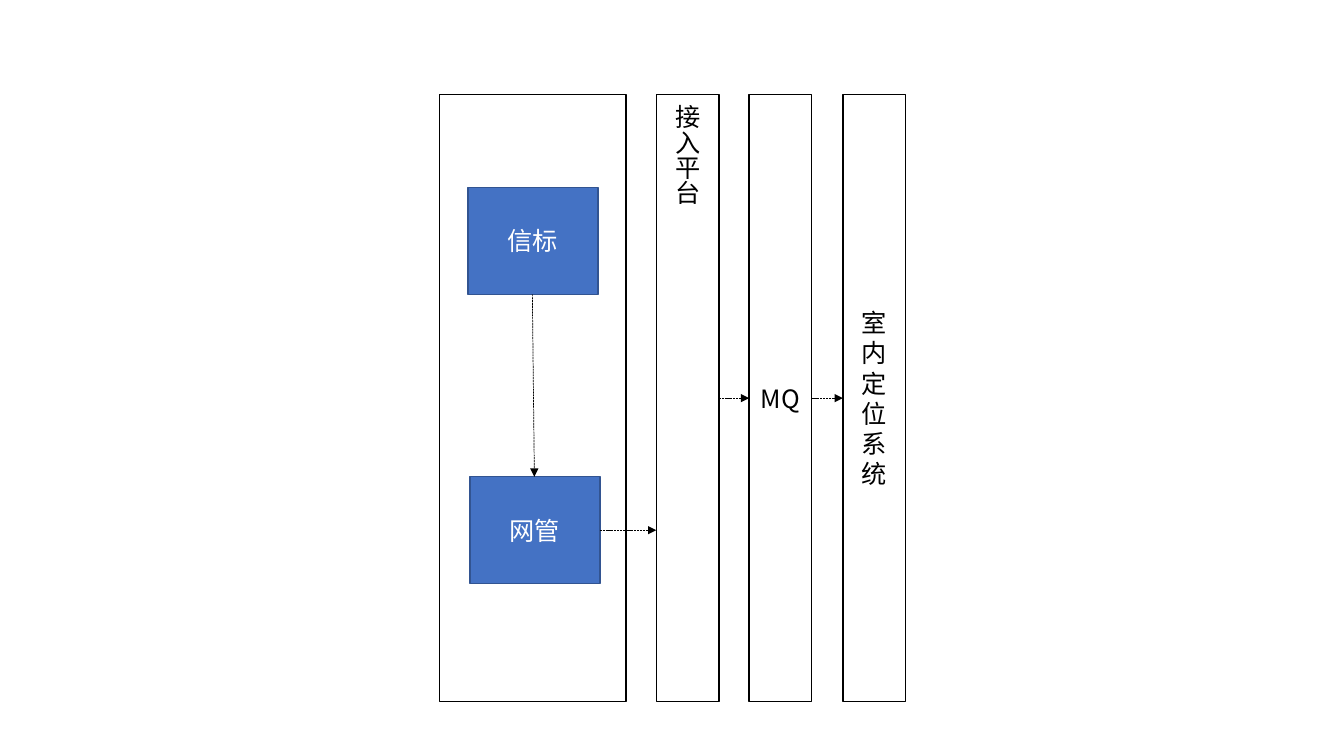
from lxml import etree
from pptx import Presentation
from pptx.dml.color import RGBColor
from pptx.enum.dml import MSO_LINE_DASH_STYLE as DASH
from pptx.enum.shapes import MSO_CONNECTOR, MSO_SHAPE
from pptx.enum.text import MSO_ANCHOR, PP_ALIGN
from pptx.oxml.ns import qn
from pptx.util import Inches, Pt

BLACK = RGBColor(0x00, 0x00, 0x00)
WHITE = RGBColor(0xFF, 0xFF, 0xFF)
BLUE = RGBColor(0x44, 0x72, 0xC4)
DARK_BLUE = RGBColor(0x32, 0x54, 0x91)
FONT = "Noto Sans CJK SC"

LANE_TOP, LANE_HEIGHT = 0.94, 6.02
LANE_WIDTH = 0.62
NODE_WIDTH, NODE_HEIGHT = 1.29, 1.06


def add_box(slide, x, y, w, h, fill, line):
    sp = slide.shapes.add_shape(
        MSO_SHAPE.RECTANGLE, Inches(x), Inches(y), Inches(w), Inches(h))
    sp.shadow.inherit = False
    sp.fill.solid()
    sp.fill.fore_color.rgb = fill
    sp.line.color.rgb = line
    sp.line.width = Pt(1)
    return sp


def add_label(sp, text, color, align=PP_ALIGN.CENTER, vert=None):
    """Write text in a shape; vert is the DrawingML text direction."""
    tf = sp.text_frame
    tf.word_wrap = True
    tf.vertical_anchor = MSO_ANCHOR.MIDDLE
    body = tf._txBody.bodyPr
    if vert:
        body.set("vert", vert)
    p = tf.paragraphs[0]
    p.alignment = align
    r = p.add_run()
    r.text = text
    r.font.size = Pt(18)
    r.font.name = FONT
    r.font.color.rgb = color
    etree.SubElement(r._r.get_or_add_rPr(), qn("a:ea"), typeface=FONT)


def add_lane(slide, x, text, vert, align=PP_ALIGN.CENTER):
    sp = add_box(slide, x, LANE_TOP, LANE_WIDTH, LANE_HEIGHT, WHITE, BLACK)
    add_label(sp, text, BLACK, align, vert)


def add_node(slide, x, y, text):
    sp = add_box(slide, x, y, NODE_WIDTH, NODE_HEIGHT, BLUE, DARK_BLUE)
    add_label(sp, text, WHITE)


def add_arrow(slide, x1, y1, x2, y2):
    cxn = slide.shapes.add_connector(
        MSO_CONNECTOR.STRAIGHT, Inches(x1), Inches(y1), Inches(x2), Inches(y2))
    cxn.line.color.rgb = BLACK
    cxn.line.width = Pt(0.5)
    cxn.line.dash_style = DASH.SQUARE_DOT
    etree.SubElement(cxn.line._get_or_add_ln(), qn("a:tailEnd"), type="triangle")
    etree.SubElement(cxn._element.spPr, qn("a:effectLst"))


def main():
    prs = Presentation()
    prs.slide_width, prs.slide_height = Inches(13.33), Inches(7.5)
    slide = prs.slides.add_slide(prs.slide_layouts[6])

    add_box(slide, 4.36, LANE_TOP, 1.85, LANE_HEIGHT, WHITE, BLACK)
    add_node(slide, 4.64, 1.86, "信标")
    add_node(slide, 4.66, 4.73, "网管")

    platform_x, queue_x, system_x = 6.51, 7.43, 8.36
    add_lane(slide, platform_x, "接入平台", "eaVert", PP_ALIGN.LEFT)
    add_lane(slide, queue_x, "MQ", "wordArtVertRtl")
    add_lane(slide, system_x, "室内定位系统", "wordArtVertRtl")

    add_arrow(slide, 5.28, 1.86 + NODE_HEIGHT, 5.3, 4.73)
    add_arrow(slide, 4.66 + NODE_WIDTH, 5.26, platform_x, 5.26)
    middle = LANE_TOP + LANE_HEIGHT / 2
    for start, end in ((platform_x, queue_x), (queue_x, system_x)):
        add_arrow(slide, start + LANE_WIDTH, middle, end, middle)

    prs.save("out.pptx")


if __name__ == "__main__":
    main()
